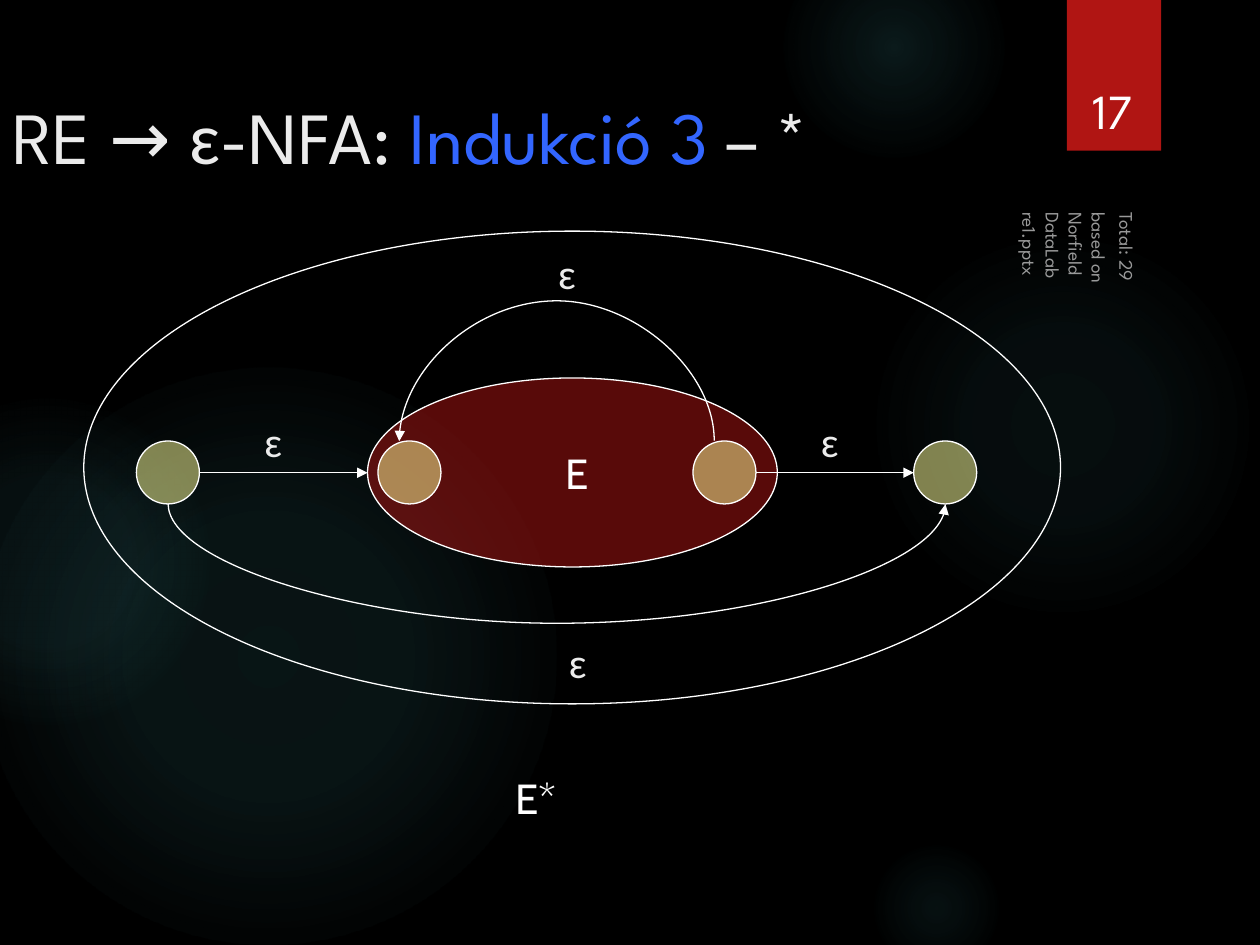
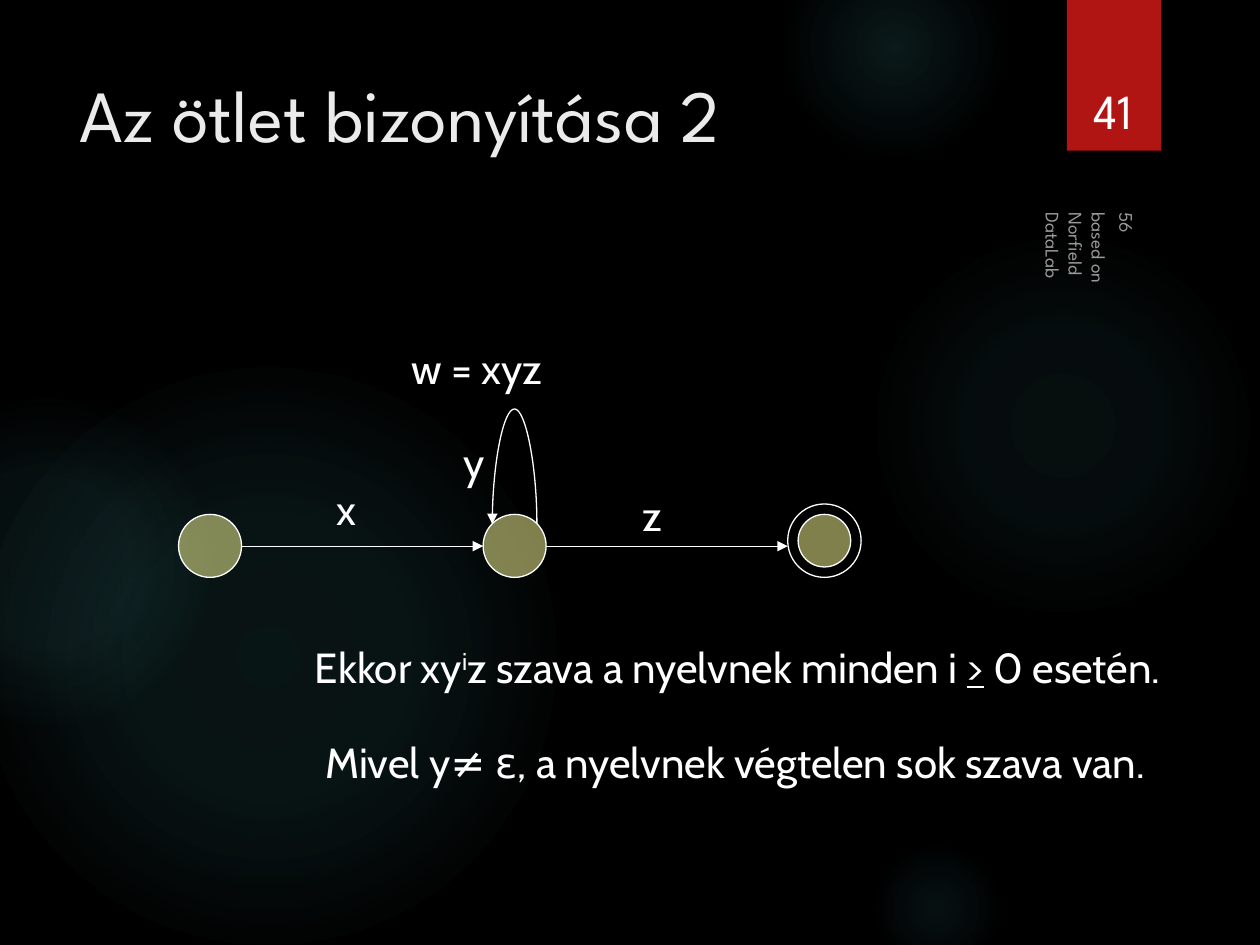
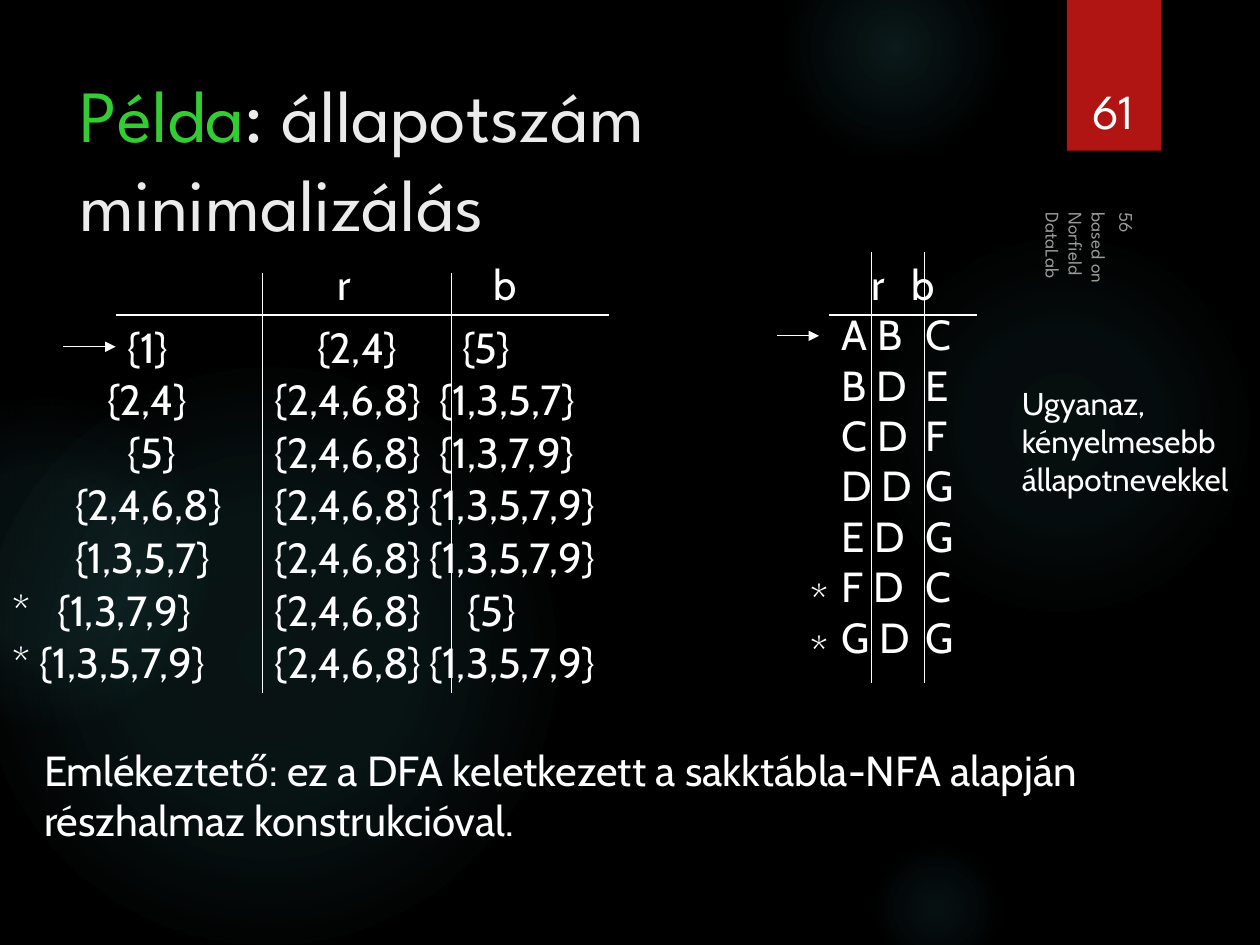
"""Build three dark lecture slides about regular expressions and finite automata."""
from pptx import Presentation, util as u
from pptx.dml.color import RGBColor
from pptx.enum import shapes, text
from pptx.oxml import parse_xml
from pptx.oxml.ns import nsdecls, qn

WHITE, PALE, RED, STATE, GLOW = "FFFFFF", "EBEBEB", "B01513", "FFFF99", "50B9C1"
HEAD, BODY = "League Spartan", "Cabin"
OVAL = shapes.MSO_SHAPE.OVAL
STRAIGHT, CURVE = shapes.MSO_CONNECTOR.STRAIGHT, shapes.MSO_CONNECTOR.CURVE


def paint(fill, color, alpha=100):
    """Fill a shape, line, font or background with a hex colour."""
    fill.solid()
    fill.fore_color.rgb = RGBColor.from_string(color)
    if alpha < 100:
        clr = fill._xPr.find(qn("a:solidFill"))[0]
        clr.append(parse_xml(f'<a:alpha {nsdecls("a")} val="{alpha * 1000}"/>'))


def write(sp, content, size=24, font=BODY, color=WHITE, alpha=100, stops=()):
    """Write paragraphs split by newlines and runs split by bars."""
    tf = sp.text_frame
    tf.word_wrap = True
    for i, line in enumerate(content.split("\n")):
        p = tf.add_paragraph() if i else tf.paragraphs[0]
        for piece in line.split("|"):
            r = p.add_run()
            r.text = piece
            r.font.size = u.Pt(size)
            r.font.name = font
            paint(r.font.fill, color, alpha)
        if stops:
            tabs = "".join(f'<a:tab pos="{u.Cm(x)}" algn="l"/>' for x in stops)
            p._p.get_or_add_pPr().append(
                parse_xml(f'<a:tabLst {nsdecls("a")}>{tabs}</a:tabLst>'))
    return tf


prs = Presentation()
prs.slide_width, prs.slide_height = u.Cm(25.4), u.Cm(19.05)
layout = prs.slide_layouts[5]
paint(prs.slide_master.background.fill, "000000")

wide, usual = (0, 1.7, 25.4, 3.18), (1.35, 1.27, 19.6, 3.89)
credit = "based on Norfield DataLab"
pages = [
    ("RE → |ɛ|-NFA: |Indukció 3| – *", wide, "17", credit + " re1.pptx", "Total: 29"),
    ("Az ötlet bizonyítása 2", usual, "41", credit, "56"),
    ("Példa|: állapotszám minimalizálás", usual, "61", credit, "56"),
]
titles = []
for title, box, number, source, total in pages:
    s = prs.slides.add_slide(layout)
    sp = s.shapes.title
    sp.left, sp.top, sp.width, sp.height = map(u.Cm, box)
    tf = write(sp, title, 42, HEAD, PALE)
    tf.auto_size = text.MSO_AUTO_SIZE.NONE
    tf.vertical_anchor = text.MSO_ANCHOR.TOP
    tf.paragraphs[0].alignment = text.PP_ALIGN.LEFT
    titles.append(tf.paragraphs[0].runs)

    tf = write(s.shapes.add_textbox(*map(u.Cm, (21.56, 0.81, 1.75, 2.13))), number, 28, HEAD)
    tf.vertical_anchor = text.MSO_ANCHOR.BOTTOM
    tf.paragraphs[0].alignment = text.PP_ALIGN.CENTER

    for note, box, anchor in [
        (source, (20.83, 5.08, 2.74, 0.64), text.MSO_ANCHOR.TOP),
        (total, (17.32, 9.07, 10.72, 0.64), text.MSO_ANCHOR.BOTTOM),
    ]:
        sp = s.shapes.add_textbox(*map(u.Cm, box))
        sp.rotation = 90
        write(sp, note, 11, HEAD, alpha=60).vertical_anchor = anchor

titles[0][1].font.name = "Calibri"
paint(titles[0][3].font.fill, "3366FF")
paint(titles[2][0].font.fill, "33CC33")
s1, s2, s3 = prs.slides

decor = []
for x, y, d, inner, middle, edge in [
    (17.5, 4.66, 7.83, 7, 6, 69),
    (15.8, -1.27, 4.45, 14, 7, 73),
    (17.5, 16.93, 2.75, 9, 5, 66),
    (-0.42, 7.41, 11.64, 11, 10, 75),
    (-2.33, 8.04, 6.56, 8, 8, 72),
]:
    sp = s1.shapes.add_shape(OVAL, *map(u.Cm, (x, y, d, d)))
    sp.fill.background()
    stops = "".join(
        f'<a:gs pos="{pos * 1000}"><a:srgbClr val="{GLOW}"><a:alpha val="{alpha * 1000}"/></a:srgbClr></a:gs>'
        for pos, alpha in [(0, inner), (36, middle), (edge, 0)])
    spPr = sp.element.spPr
    spPr.replace(spPr.find(qn("a:noFill")), parse_xml(
        f'<a:gradFill {nsdecls("a")}><a:gsLst>{stops}</a:gsLst><a:path path="circle">'
        '<a:fillToRect l="50000" t="50000" r="50000" b="50000"/></a:path></a:gradFill>'))
    decor.append(sp)
band = s1.shapes.add_shape(shapes.MSO_SHAPE.RECTANGLE, *map(u.Cm, (21.51, 0, 1.9, 3.04)))
paint(band.fill, RED)
decor.append(band)
for i, sp in enumerate(decor):
    sp.line.fill.background()
    sp.shadow.inherit = False
    sp.element.nvSpPr.cNvPr.id = 20 + i
    layout.element.cSld.spTree.append(sp.element)

for s, x, y, w, h, color in [
    (s1, 7.41, 7.62, 8.26, 3.81, RED),
    (s1, 13.97, 8.89, 1.27, 1.27, STATE),
    (s1, 7.62, 8.89, 1.27, 1.27, STATE),
    (s1, 1.69, 4.66, 19.69, 9.53, None),
    (s1, 18.42, 8.89, 1.27, 1.27, STATE),
    (s1, 2.75, 8.89, 1.27, 1.27, STATE),
    (s2, 3.6, 10.37, 1.27, 1.27, STATE),
    (s2, 9.74, 10.37, 1.27, 1.27, STATE),
    (s2, 16.09, 10.37, 1.06, 1.06, STATE),
    (s2, 15.88, 10.16, 1.48, 1.48, None),
]:
    sp = s.shapes.add_shape(OVAL, *map(u.Cm, (x, y, w, h)))
    sp.shadow.inherit = False
    paint(sp.line.fill, WHITE)
    sp.line.width = u.Pt(0.75)
    if color:
        paint(sp.fill, color, 50)
    else:
        sp.fill.background()
    if color == RED:
        tf = write(sp, " E")
        tf.vertical_anchor = text.MSO_ANCHOR.MIDDLE
        tf.paragraphs[0].alignment = text.PP_ALIGN.CENTER

rules, arrows = [], []
for s, x1, x2, y in [
    (s1, 4.02, 7.41, 9.53), (s1, 15.24, 18.42, 9.53),
    (s2, 4.87, 9.74, 11.01), (s2, 11.01, 15.88, 11.01),
    (s3, 1.27, 2.33, 6.99), (s3, 15.66, 16.51, 6.77),
]:
    arrows.append(s.shapes.add_connector(STRAIGHT, *map(u.Cm, (x1, y, x2, y))))

thin = 0.01
for s, x, y, span, depth in [
    (s1, 11.22, 8.89, 6.35, -2.82),
    (s1, 11.22, 10.16, 15.67, 2.41),
    (s2, 10.37, 10.56, 0.9, -2.31),
]:
    c = s.shapes.add_connector(CURVE, *map(u.Cm, (x, y - span / 2, x + thin, y + span / 2)))
    xfrm = c.element.spPr.find(qn("a:xfrm"))
    xfrm.set("rot", "16200000")
    xfrm.set("flipH", "1")
    if depth < 0:
        xfrm.set("flipV", "1")
    c.element.spPr.find(qn("a:prstGeom")).find(qn("a:avLst")).append(parse_xml(
        f'<a:gd {nsdecls("a")} name="adj1" fmla="val {round(depth / thin * 100000)}"/>'))
    arrows.append(c)

for ends in [
    (2.33, 6.35, 12.28, 6.35), (5.29, 5.5, 5.29, 13.97), (9.1, 5.5, 9.1, 13.97),
    (16.72, 6.35, 19.69, 6.35), (17.57, 5.08, 17.57, 13.76), (18.63, 5.08, 18.63, 13.76),
]:
    rules.append(s3.shapes.add_connector(STRAIGHT, *map(u.Cm, ends)))

for c in rules + arrows:
    paint(c.line.fill, WHITE)
    c.line.width = u.Pt(0.75)
    c.element.spPr.append(parse_xml(f'<a:effectLst {nsdecls("a")}/>'))
for c in arrows:
    c.line._get_or_add_ln().append(parse_xml(f'<a:tailEnd {nsdecls("a")} type="triangle"/>'))

for x, y in [(11, 4.87), (11.22, 12.7), (16.3, 8.25), (5.08, 8.25)]:
    write(s1.shapes.add_textbox(*map(u.Cm, (x, y, 1, 1.3))), "ɛ", font="Calibri", color=PALE)

for s, x, y, w, label in [
    (s1, 9.95, 15.45, 1.8, " E*"),
    (s2, 8.04, 6.78, 3.5, "w = xyz"),
    (s2, 6.53, 9.63, 0.94, "x"),
    (s2, 9.1, 8.68, 0.94, "y"),
    (s2, 12.7, 9.74, 0.94, "z"),
    (s2, 6.31, 14.73, 18.2, "Mivel y≠ ε, a nyelvnek végtelen sok szava van."),
    (s3, 16.09, 11.43, 0.97, "*"),
    (s3, 16.09, 12.49, 0.97, "*"),
    (s3, 0.64, 14.88, 23.1,
     "Emlékeztető: ez a DFA keletkezett a sakktábla-NFA alapján\nrészhalmaz konstrukcióval."),
]:
    write(s.shapes.add_textbox(*map(u.Cm, (x, y, w, 1.27))), label)

sp = s2.shapes.add_textbox(*map(u.Cm, (6.1, 12.8, 19.03, 1.27)))
tf = write(sp, "Ekkor xy|i|z szava a nyelvnek minden i |>| 0 esetén.")
runs = tf.paragraphs[0].runs
runs[1].font._element.set("baseline", "30000")
runs[3].font.underline = True

write(s3.shapes.add_textbox(*map(u.Cm, (6.56, 5.08, 4.32, 1.27))), "r\tb", stops=[3.13])
for i, (x, state, x_next, successors, stop) in enumerate([
    (2.33, "{1}", 6.15, "{2,4}\t{5}", 2.92),
    (1.91, "{2,4}", 5.29, "{2,4,6,8}\t{1,3,5,7}", 3.33),
    (2.33, "{5}", 5.29, "{2,4,6,8}\t{1,3,7,9}", 3.33),
    (1.27, "{2,4,6,8}", 5.29, "{2,4,6,8}\t{1,3,5,7,9}", 3.12),
    (1.27, "{1,3,5,7}", 5.29, "{2,4,6,8}\t{1,3,5,7,9}", 3.12),
    (0, "*\t{1,3,7,9}", 5.29, "{2,4,6,8}\t{5}", 3.89),
    (0, "* {1,3,5,7,9}", 5.29, "{2,4,6,8}\t{1,3,5,7,9}", 3.12),
]):
    y = 6.35 + 1.06 * i
    write(s3.shapes.add_textbox(*map(u.Cm, (x, y, 5.3, 1.27))), state, stops=[0.91])
    write(s3.shapes.add_textbox(*map(u.Cm, (x_next, y, 8.36, 1.27))), successors, stops=[stop])

write(s3.shapes.add_textbox(*map(u.Cm, (16.72, 5.08, 3.02, 1.27))), "\tr\tb", stops=[0.59, 1.41])
write(s3.shapes.add_textbox(*map(u.Cm, (16.72, 6.1, 3.02, 7.36))),
      "A B\tC\nB D\tE\nC D\tF\nD D\tG\nE D\tG\nF D\tC\nG D\tG", stops=[1.69])
write(s3.shapes.add_textbox(*map(u.Cm, (20.35, 7.62, 4.95, 2.57))),
      "Ugyanaz,\nkényelmesebb\nállapotnevekkel", 18)

prs.save("out.pptx")
